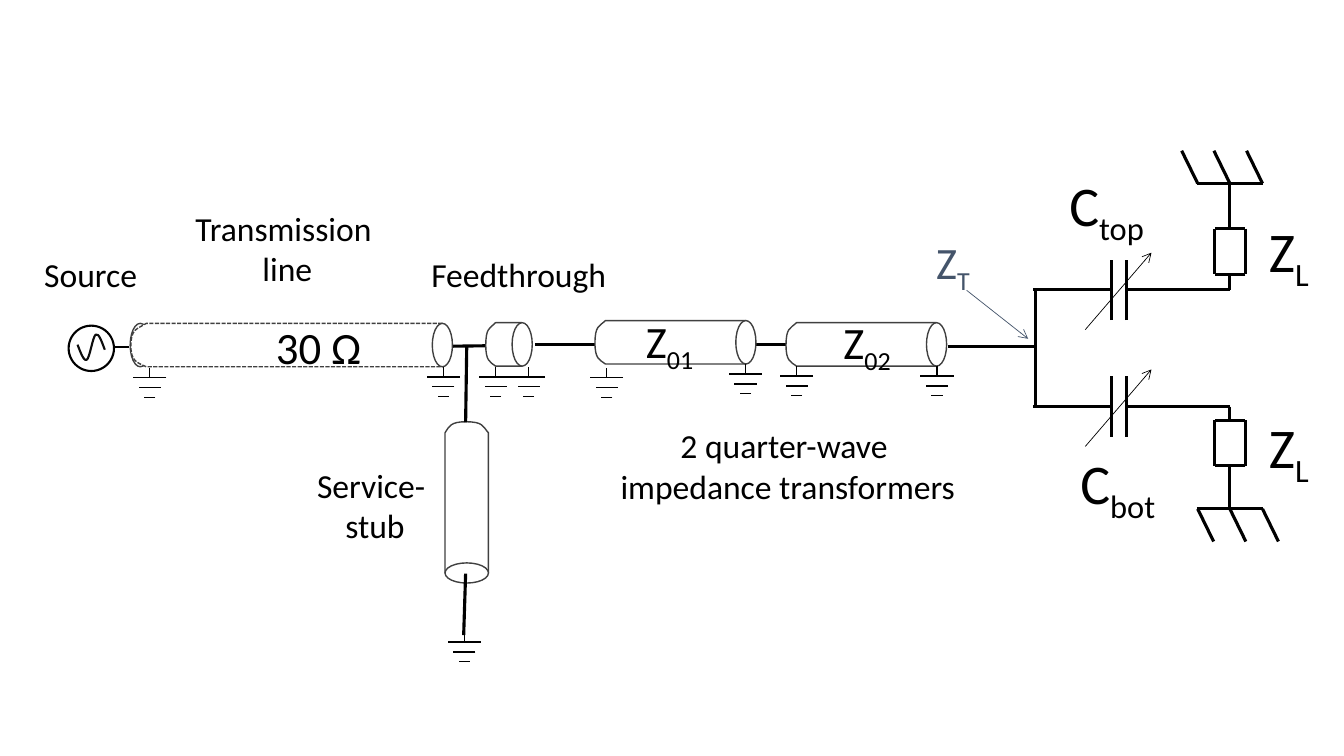
"""Draw a transmission line circuit with impedance transformers and two tunable load branches."""
import pptx
import pptx.dml.color
import pptx.enum.dml
import pptx.enum.shapes
import pptx.enum.text
import pptx.oxml.ns
import pptx.util
from lxml import etree

Pt = pptx.util.Pt
RGB = pptx.dml.color.RGBColor.from_string
qn = pptx.oxml.ns.qn
OVAL = pptx.enum.shapes.MSO_SHAPE.OVAL
COLORS = {"ink": "000000", "tube": "404040", "wave": "0D0D0D", "accent": "44546A", "paper": "FFFFFF"}

deck = pptx.Presentation()
deck.slide_width, deck.slide_height = Pt(960), Pt(540)
shapes = deck.slides.add_slide(deck.slide_layouts[6]).shapes


def wire(x1, y1, x2, y2, width=2.25, color="ink", arrow=False):
    line = shapes.add_connector(pptx.enum.shapes.MSO_CONNECTOR.STRAIGHT, Pt(x1), Pt(y1), Pt(x2), Pt(y2))
    line.line.width = Pt(width)
    line.line.color.rgb = RGB(COLORS[color])
    if arrow:
        etree.SubElement(line.line._get_or_add_ln(), qn("a:tailEnd"), type="arrow")
    etree.SubElement(line._element.spPr, qn("a:effectLst"))


def style(shape, width, color, fill=None):
    shape.shadow.inherit = False
    shape.line.width = Pt(width)
    shape.line.color.rgb = RGB(COLORS[color])
    if fill:
        shape.fill.solid()
        shape.fill.fore_color.rgb = RGB(COLORS[fill])
    else:
        shape.fill.background()
    return shape


style(shapes.add_shape(OVAL, Pt(93), Pt(231), Pt(14.4), Pt(31)), 1, "tube", "paper")

for x1, y1, x2, y2 in [
    (186.5, 249, 347, 247),
    (382.3, 246.2, 445, 246.2),
    (506, 246.2, 569, 246.2),
    (677, 247.7, 739.4, 247.7),
    (739.4, 290.4, 739.4, 207),
]:
    wire(x1, y1, x2, y2)

style(shapes.add_shape(OVAL, Pt(49), Pt(232.6), Pt(32.4), Pt(32.4)), 1.5, "ink")
wire(92.2, 247.7, 81.4, 247.7, 1.5)

sine = [
    (74.9, 249.8), (72.7, 244.1), (70.6, 237.6), (68.4, 239), (66.2, 240.5),
    (64.1, 256.3), (61.9, 257), (59.8, 258.5), (56.9, 249.8), (55.4, 246.2),
]
outlines = [(sine, False, 0)]
for end, shoulder, tip, side, dashed, turn in [
    (669, 569, 561.5, 230.5, False, 0),
    (532.8, 432.5, 425, 229, False, 0),
    (373, 354, 347, 230.5, False, 0),
    (316, 104.5, 93.5, 231, True, 0),
    (387.4, 287.3, 279.4, 339.8, False, 90),
]:
    bend = shoulder - (shoulder - tip) * 0.6
    tube = [
        (end, side), (shoulder, side),
        (bend, side + 4.3), (tip, side + 3.6), (tip, side + 16.2),
        (tip, side + 27), (bend, side + 28), (shoulder, side + 31),
        (end, side + 31),
    ]
    outlines.append((tube, dashed, turn))

for corners, dashed, turn in outlines:
    closed = corners is not sine
    points = [(Pt(x), Pt(y)) for x, y in corners]
    builder = shapes.build_freeform(*points[0])
    builder.add_line_segments(points[1:], close=closed)
    body = builder.convert_to_shape()
    steps = list(body._element.iter(qn("a:lnTo")))
    steps = steps[1:7] if closed else steps
    for first, second, third in zip(steps[::3], steps[1::3], steps[2::3]):
        curve = etree.Element(qn("a:cubicBezTo"))
        first.addprevious(curve)
        for step in (first, second, third):
            curve.append(step[0])
            step.getparent().remove(step)
    if not closed:
        style(body, 1.5, "wave")
        continue
    style(body, 1, "tube", "paper").rotation = turn
    if dashed:
        body.line.dash_style = pptx.enum.dml.MSO_LINE.SQUARE_DOT
    end, side = corners[0]
    mouth_at = (326.2, 393.8) if turn else (end - 7.2, side)
    mouth = shapes.add_shape(OVAL, *map(Pt, mouth_at), Pt(14.4), Pt(31))
    style(mouth, 1, "tube", "paper").rotation = turn

for x, y in [
    (107, 262.6), (316.7, 262), (354, 262), (377.6, 262), (433.4, 262.6),
    (532.5, 260), (569, 261.4), (669.3, 261.4), (331.6, 451.4),
]:
    wire(x, y + 7.2, x, y, 1)
    for level, half in enumerate([11.8, 7.9, 4]):
        wire(x + half, y + 7.2 + 7 * level, x - half, y + 7.2 + 7 * level, 1)

wire(333.4, 247.7, 332.6, 301.7)
wire(332.6, 409.7, 331.2, 453.6)

for bus, load_top, chassis, slant in [(207, 163.4, 131, -1), (290.4, 300.2, 363.5, 1)]:
    load_bottom = load_top + 32.6
    near, far = [load_top, load_bottom][::slant]
    for x1, x2 in [(738, 793.6), (794, 761), (837.4, 805), (815.8, 878.5)]:
        wire(x1, bus, x2, bus)
    for plate in (793.8, 804.6):
        wire(plate, bus + 21.6, plate, bus - 21.6)
    wire(775.2, bus + 28.5, 822.5, bus - 26.5, 0.5, arrow=True)
    wire(878.5, bus, 878.5, near)
    for y in (load_top, load_bottom):
        wire(889.6, y, 867.8, y)
    for x in (867.8, 889.6):
        wire(x, load_top, x, load_bottom)
    wire(878.5, far, 878.5, far + slant * 10.8)
    wire(878.5, chassis, 878.5, far + slant * 9)
    wire(855, chassis, 902, chassis)
    for tine in (855.5, 878.5, 901.8):
        wire(tine + slant * 11.4, chassis + slant * 23.3, tine, chassis)

wire(690.5, 207.4, 734.4, 242, 0.5, "accent", True)

for left, top, width, height, size, color, text, subscript in [
    (756.7, 118, 73.4, 55.4, 40, "ink", "C", "top"),
    (764.6, 316.8, 73.4, 55.4, 40, "ink", "C", "bot"),
    (899.3, 151.2, 44.6, 55.4, 40, "ink", "Z", "L"),
    (899.3, 290.9, 44.6, 55.4, 40, "ink", "Z", "L"),
    (301, 177.8, 141, 36, 24, "ink", "Feedthrough", ""),
    (434.9, 300.2, 255.6, 65.5, 24, "ink", "2 quarter-wave \vimpedance transformers", ""),
    (190, 224.6, 76.3, 46, 32, "ink", "30 Ω", ""),
    (454.3, 220.3, 51.8, 46, 32, "ink", "Z", "01"),
    (595.4, 221, 51.8, 46, 32, "ink", "Z", "02"),
    (661.7, 164.2, 40.3, 46, 32, "accent", "Z", "T"),
    (24.5, 177.8, 81.4, 36, 24, "ink", "Source", ""),
    (131.8, 144.7, 146.9, 65.5, 24, "ink", "Transmission \vline", ""),
    (218.9, 328.3, 97.9, 65.5, 24, "ink", "Service- \nstub", ""),
]:
    frame = shapes.add_textbox(Pt(left), Pt(top), Pt(width), Pt(height)).text_frame
    frame.word_wrap = False
    frame.auto_size = pptx.enum.text.MSO_AUTO_SIZE.SHAPE_TO_FIT_TEXT
    for number, block in enumerate(text.split("\n")):
        paragraph = frame.add_paragraph() if number else frame.paragraphs[0]
        if "\n" in text or "\v" in text:
            paragraph.alignment = pptx.enum.text.PP_ALIGN.CENTER
        for row, words in enumerate(block.split("\v")):
            if row:
                paragraph.add_line_break()
            for piece in filter(None, [words, subscript]):
                run = paragraph.add_run()
                run.text = piece
                run.font.name = "Calibri"
                run.font.size = Pt(size)
                run.font.color.rgb = RGB(COLORS[color])
                if piece == subscript:
                    run.font._element.set("baseline", "-25000")

deck.save("out.pptx")
